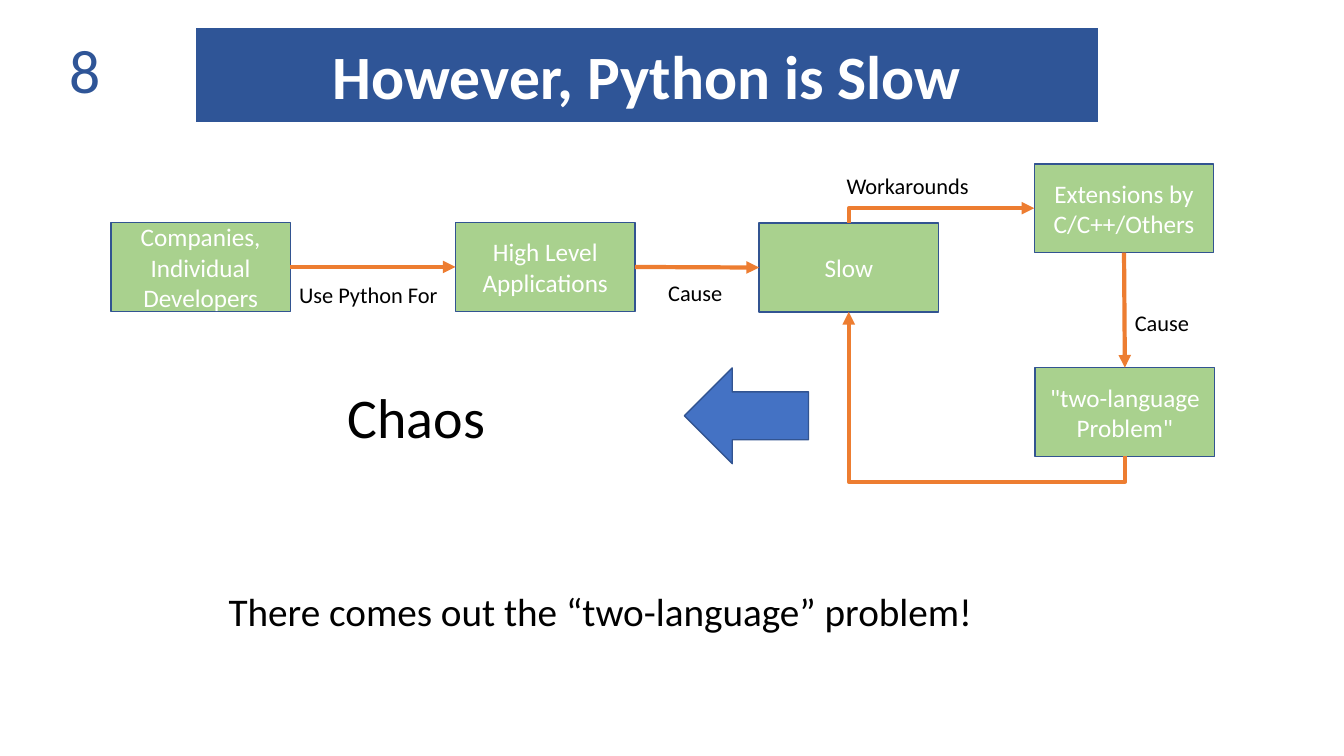
from lxml import etree
from pptx import Presentation
from pptx.dml.color import RGBColor
from pptx.enum.shapes import MSO_CONNECTOR, MSO_SHAPE
from pptx.enum.text import MSO_ANCHOR, MSO_AUTO_SIZE, PP_ALIGN
from pptx.oxml.ns import qn
from pptx.util import Pt

LEFT, CENTER, RIGHT = PP_ALIGN.LEFT, PP_ALIGN.CENTER, PP_ALIGN.RIGHT
TOP_ANCHOR, MIDDLE = MSO_ANCHOR.TOP, MSO_ANCHOR.MIDDLE
TOP, LEFT_SIDE, BOTTOM, RIGHT_SIDE = range(4)  # connection sites of a rectangle

FONT = "Calibri"
NAVY, OUTLINE, BLUE = "2F5597", "325491", "4472C4"
GREEN, ORANGE, WHITE, BLACK = "A9D18E", "ED7D31", "FFFFFF", "000000"

# Content
TITLE = "However, Python is Slow"
STEP_SIZE = (128.2, 63.4)
STEPS = {  # key: left, top, lines
    "users": (79.2, 159, ["Companies, Individual Developers"]),
    "apps": (325.4, 159, ["High Level Applications"]),
    "slow": (542.2, 159.4, ["Slow"]),
    "extensions": (738.8, 117, ["Extensions by", "C/C++/Others"]),
    "problem": (739.4, 262.6, ['"two-language Problem"']),
}
STRAIGHT_ARROWS = [
    ("users", RIGHT_SIDE, "apps", LEFT_SIDE),
    ("apps", RIGHT_SIDE, "slow", LEFT_SIDE),
    ("extensions", BOTTOM, "problem", TOP),
]
BENT_ARROWS = [  # ..., preset, bend position
    ("slow", TOP, "extensions", LEFT_SIDE, "bentConnector2", None),
    ("problem", BOTTOM, "slow", BOTTOM, "bentConnector3", -17500),
]
TEXTS = [  # text, left, top, width, height, size, colour, alignment, anchor
    ("8", 7.2, 34.6, 72, 28.8, 44, NAVY, RIGHT, MIDDLE),
    ("Use Python For", 206.6, 197.3, 122.4, 26.6, 16, BLACK, LEFT, TOP_ANCHOR),
    ("Cause", 470.2, 195.8, 122.4, 26.6, 16, BLACK, LEFT, TOP_ANCHOR),
    ("Workarounds", 597.6, 119.5, 122.4, 26.6, 16, BLACK, LEFT, TOP_ANCHOR),
    ("Cause", 803.5, 217.4, 122.4, 26.6, 16, BLACK, LEFT, TOP_ANCHOR),
    ("Chaos", 241.2, 270, 351.4, 55.4, 40, BLACK, LEFT, TOP_ANCHOR),
    ("There comes out the “two-language” problem!",
     156.2, 416.2, 548.6, 41, 28, BLACK, LEFT, TOP_ANCHOR),
]


def rgb(value):
    return RGBColor.from_string(value)


def paint(shape, fill, line):
    shape.fill.solid()
    shape.fill.fore_color.rgb = rgb(fill)
    shape.line.color.rgb = rgb(line)
    shape.line.width = Pt(1)


def write(shape, lines, size, color, align, anchor, bold=False):
    frame = shape.text_frame
    frame.word_wrap = True
    frame.auto_size = MSO_AUTO_SIZE.NONE
    frame.vertical_anchor = anchor
    for index, line in enumerate(lines):
        paragraph = frame.add_paragraph() if index else frame.paragraphs[0]
        paragraph.alignment = align
        run = paragraph.add_run()
        run.text = line
        run.font.name, run.font.size, run.font.bold = FONT, Pt(size), bold
        run.font.color.rgb = rgb(color)


def add_block(preset, left, top, width, height, fill):
    block = slide.shapes.add_shape(preset, Pt(left), Pt(top), Pt(width), Pt(height))
    block.shadow.inherit = False
    paint(block, fill, OUTLINE)
    return block


def add_arrow(kind, start, start_site, end, end_site):
    arrow = slide.shapes.add_connector(kind, 0, 0, 0, 0)
    arrow.begin_connect(steps[start], start_site)
    arrow.end_connect(steps[end], end_site)
    arrow.line.color.rgb = rgb(ORANGE)
    arrow.line.width = Pt(3)
    etree.SubElement(arrow.line._get_or_add_ln(), qn("a:tailEnd"), type="triangle")
    etree.SubElement(arrow._element.spPr, qn("a:effectLst"))
    return arrow


def bend(arrow, preset, position):
    """Turn an elbow by 90 degrees so that it leaves its start vertically."""
    x1, y1, x2, y2 = arrow.begin_x, arrow.begin_y, arrow.end_x, arrow.end_y
    width, height = abs(y2 - y1), abs(x2 - x1)
    arrow.left, arrow.top = (x1 + x2 - width) // 2, (y1 + y2 - height) // 2
    arrow.width, arrow.height = width, height
    properties = arrow._element.spPr
    frame = properties.find(qn("a:xfrm"))
    frame.set("rot", "5400000")
    frame.set("flipH", str(int(y1 > y2)))
    frame.set("flipV", str(int(x1 < x2)))
    geometry = properties.find(qn("a:prstGeom"))
    geometry.set("prst", preset)
    if position is not None:
        guides = geometry.find(qn("a:avLst"))
        etree.SubElement(guides, qn("a:gd"), name="adj1", fmla=f"val {position}")


presentation = Presentation()
presentation.slide_width, presentation.slide_height = Pt(960), Pt(540)
slide = presentation.slides.add_slide(presentation.slide_layouts[5])

# Title banner
title = slide.shapes.title
title.left, title.top, title.width, title.height = Pt(139.7), Pt(19.4), Pt(645.1), Pt(68.4)
banner = etree.SubElement(title._element.spPr, qn("a:prstGeom"), prst="roundRect")
banner_guides = etree.SubElement(banner, qn("a:avLst"))
etree.SubElement(banner_guides, qn("a:gd"), name="adj", fmla="val 10000")
paint(title, NAVY, WHITE)
write(title, [TITLE], 44, WHITE, CENTER, MIDDLE, bold=True)

# Steps
steps = {}
for key, (left, top, lines) in STEPS.items():
    steps[key] = add_block(MSO_SHAPE.RECTANGLE, left, top, *STEP_SIZE, GREEN)
    write(steps[key], lines, 18, WHITE, CENTER, MIDDLE)

# Arrows between the steps
for ends in STRAIGHT_ARROWS:
    add_arrow(MSO_CONNECTOR.STRAIGHT, *ends)
for *ends, preset, position in BENT_ARROWS:
    bend(add_arrow(MSO_CONNECTOR.ELBOW, *ends), preset, position)

# Arrow towards chaos
add_block(MSO_SHAPE.LEFT_ARROW, 488.9, 262.8, 88.6, 68.4, BLUE)

# Slide number, labels and conclusion
for text, left, top, width, height, size, color, align, anchor in TEXTS:
    box = slide.shapes.add_textbox(Pt(left), Pt(top), Pt(width), Pt(height))
    write(box, [text], size, color, align, anchor)

presentation.save("out.pptx")
